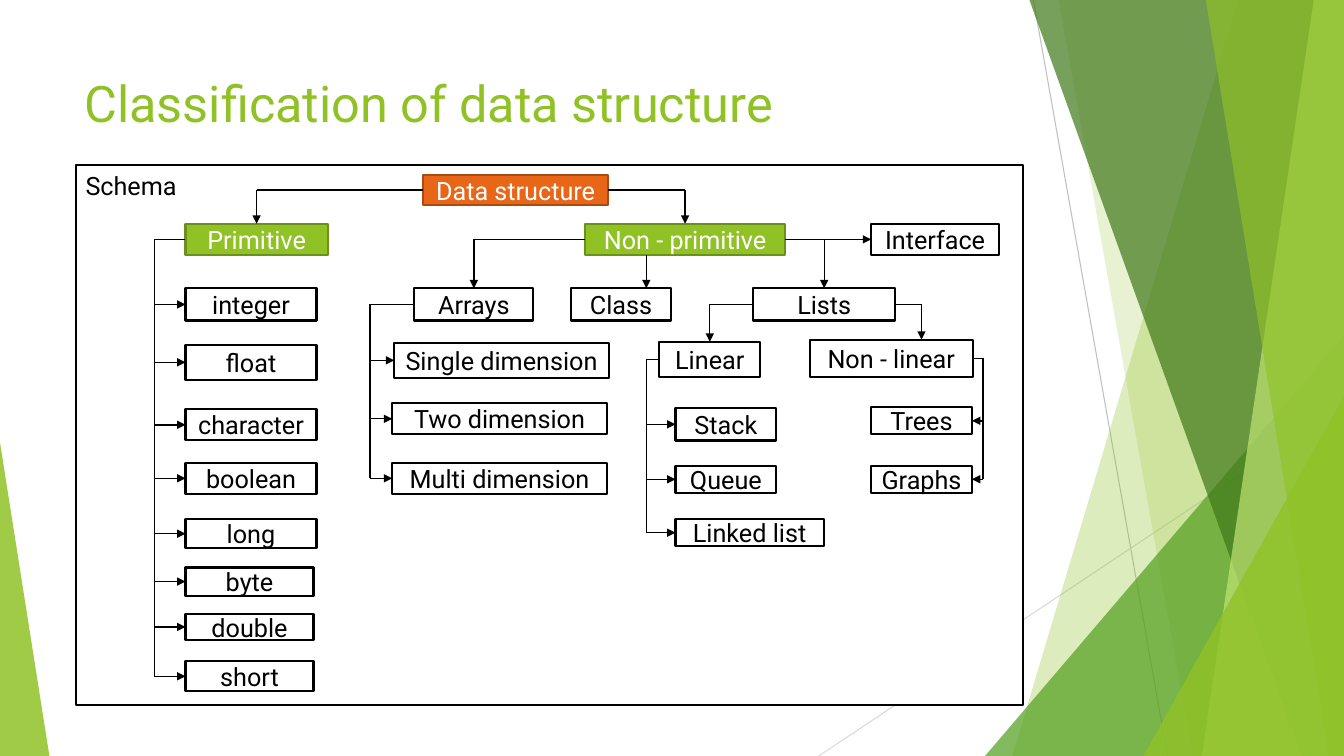
from dataclasses import dataclass

import pptx
import pptx.dml.color
import pptx.enum.shapes
import pptx.enum.text
import pptx.oxml
import pptx.oxml.ns
import pptx.util

Inches = pptx.util.Inches
Pt = pptx.util.Pt
MSO_SHAPE = pptx.enum.shapes.MSO_SHAPE
ANCHOR = pptx.enum.text.MSO_ANCHOR
ALIGN = pptx.enum.text.PP_ALIGN
NS = pptx.oxml.ns.nsdecls("a")


@dataclass(frozen=True)
class Theme:
    """Colours, font and sizes of the slide."""
    font: str = "Roboto"
    title: int = 36
    body: int = 18
    border: float = 1.5
    wire: float = 1
    hairline: float = 0.75
    ink: str = "000000"
    paper: str = "FFFFFF"
    green: str = "90C226"
    green_edge: str = "6B901C"
    orange: str = "E76618"
    orange_edge: str = "AB4B12"
    leaf: str = "54A021"
    forest: str = "3F7819"
    lime: str = "C0E474"
    gray: str = "BFBFBF"
    light_gray: str = "D9D9D9"


class Diagram:
    """Draws the elements of one slide in one theme."""

    def __init__(self, slide, theme):
        """Keep the slide and the theme."""
        self.shapes = slide.shapes
        self.theme = theme

    def paint(self, sp, fill, edge=None, alpha=None):
        """Set fill, outline and opacity in percent."""
        sp.shadow.inherit = False
        sp.fill.solid()
        sp.fill.fore_color.rgb = pptx.dml.color.RGBColor.from_string(fill)
        if alpha:
            color = sp._element.spPr.find(".//" + pptx.oxml.ns.qn("a:srgbClr"))
            color.append(pptx.oxml.parse_xml(f'<a:alpha {NS} val="{alpha * 1000}"/>'))
        if edge:
            sp.line.color.rgb = pptx.dml.color.RGBColor.from_string(edge)
            sp.line.width = Pt(self.theme.border)
        else:
            sp.line.fill.background()

    def label(self, sp, text, size, color, align, anchor):
        """Put one formatted paragraph into a shape."""
        tf = sp.text_frame
        tf.text = text
        tf.word_wrap = True
        tf.vertical_anchor = anchor
        p = tf.paragraphs[0]
        p.alignment = align
        font = p.runs[0].font
        font.name, font.size = self.theme.font, Pt(size)
        font.color.rgb = pptx.dml.color.RGBColor.from_string(color)

    def title(self, text, *box):
        """Add the slide title."""
        sp = self.shapes.add_textbox(*map(Inches, box))
        self.label(sp, text, self.theme.title, self.theme.green, ALIGN.LEFT, ANCHOR.TOP)

    def frame(self, text, *box):
        """Add the outlined area with its caption."""
        sp = self.shapes.add_shape(MSO_SHAPE.RECTANGLE, *map(Inches, box))
        self.paint(sp, self.theme.paper, self.theme.ink)
        self.label(sp, text, self.theme.body, self.theme.ink, ALIGN.LEFT, ANCHOR.TOP)

    def node(self, text, box, fill=None, edge=None):
        """Add a labelled box; filled boxes have white text."""
        t = self.theme
        sp = self.shapes.add_shape(MSO_SHAPE.RECTANGLE, *map(Inches, box))
        self.paint(sp, fill or t.paper, edge or t.ink)
        self.label(sp, text, t.body, t.paper if fill else t.ink, ALIGN.CENTER, ANCHOR.MIDDLE)
        sp.text_frame.margin_left = sp.text_frame.margin_right = 0
        return sp

    def triangle(self, box, peak, fill, alpha):
        """Add a translucent triangle with its peak at a share of the width."""
        sp = self.shapes.add_shape(MSO_SHAPE.ISOSCELES_TRIANGLE, *map(Inches, box))
        sp.adjustments[0] = peak
        self.paint(sp, fill, alpha=alpha)

    def band(self, top, bottom, fill, alpha):
        """Add a translucent band from a slanted left side to the right edge."""
        corners = [(Inches(x), Inches(y)) for x, y in
                   ((top, 0), (13.33, 0), (13.33, 7.5), (bottom, 7.5))]
        builder = self.shapes.build_freeform(*corners[0])
        builder.add_line_segments(corners[1:], close=True)
        self.paint(builder.convert_to_shape(), fill, alpha=alpha)

    def line(self, start, end, arrow=False, color=None, width=None):
        """Add a straight line, with an arrowhead at its end if wanted."""
        cx = self.shapes.add_connector(pptx.enum.shapes.MSO_CONNECTOR.STRAIGHT, *start, *end)
        cx.line.color.rgb = pptx.dml.color.RGBColor.from_string(color or self.theme.ink)
        cx.line.width = Pt(width or self.theme.wire)
        if arrow:
            ln = cx._element.spPr.find(pptx.oxml.ns.qn("a:ln"))
            ln.append(pptx.oxml.parse_xml(f'<a:tailEnd {NS} type="triangle"/>'))
        cx._element.spPr.append(pptx.oxml.parse_xml(f"<a:effectLst {NS}/>"))

    def elbow(self, parent, child, x=None):
        """Go sideways from the parent, then down to the child."""
        x = x or child.left + child.width // 2
        y = parent.top + parent.height // 2
        side = parent.left if x < parent.left else parent.left + parent.width
        self.line((side, y), (x, y))
        self.line((x, y), (x, child.top), arrow=True)

    def bus(self, parent, children, x):
        """Run a spine at x beside the parent, with an arrow to each child."""
        def port(sp):
            """Give the middle of the side that faces the spine."""
            side = sp.left if x < sp.left else sp.left + sp.width
            return side, sp.top + sp.height // 2

        ports = [port(child) for child in children]
        start = port(parent)
        self.line(start, (x, start[1]))
        self.line((x, start[1]), (x, ports[-1][1]))
        for end in ports:
            self.line((x, end[1]), end, arrow=True)


def draw_backdrop(d):
    """Draw the translucent green shards and two thin lines."""
    t = d.theme
    for x1, y1, x2, color in ((10.25, 0, 11.58, t.gray), (13.33, 4.03, 8.12, t.light_gray)):
        d.line((Inches(x1), Inches(y1)), (Inches(x2), Inches(7.5)),
               color=color, width=t.hairline)
    d.band(12.28, 10.04, t.green, 30)
    d.band(10.5, 11.83, t.green, 20)
    d.triangle((9.77, 3.33, 3.56, 4.17), 1, t.leaf, 72)
    d.band(10.21, 12.91, t.forest, 70)
    d.band(13.03, 11.92, t.lime, 70)
    d.band(11.96, 13.18, t.green, 65)
    d.triangle((11.34, 3.93, 1.99, 3.57), 1, t.green, 80)
    d.triangle((0, 4.39, 0.49, 3.11), 0, t.green, 85)


def draw_tree(d):
    """Draw the classification boxes and their links."""
    t = d.theme
    root = d.node("Data structure", (4.2, 1.74, 1.83, 0.29), t.orange, t.orange_edge)
    primitive = d.node("Primitive", (1.84, 2.22, 1.41, 0.31), t.green, t.green_edge)
    non_primitive = d.node("Non - primitive", (5.8, 2.22, 1.99, 0.31), t.green, t.green_edge)
    interface = d.node("Interface", (8.64, 2.22, 1.27, 0.31))
    arrays = d.node("Arrays", (4.11, 2.86, 1.18, 0.32))
    class_box = d.node("Class", (5.66, 2.86, 1, 0.32))
    lists = d.node("Lists", (7.47, 2.86, 1.41, 0.32))
    linear = d.node("Linear", (6.54, 3.39, 1, 0.35))
    non_linear = d.node("Non - linear", (8.03, 3.37, 1.62, 0.37))

    for parent, child in ((root, primitive), (root, non_primitive),
                          (non_primitive, arrays), (non_primitive, lists), (lists, linear)):
        d.elbow(parent, child)
    d.elbow(lists, non_linear, Inches(9.14))
    class_x = Inches(6.41)
    d.line((class_x, non_primitive.top + non_primitive.height),
           (class_x, class_box.top), arrow=True)
    middle = non_primitive.top + non_primitive.height // 2
    d.line((non_primitive.left + non_primitive.width, middle),
           (interface.left, middle), arrow=True)

    # parent, spine x, then children as text, left, top, width, height
    families = (
        (primitive, 1.53, (
            ("integer", 1.84, 2.86, 1.3, 0.32), ("float", 1.84, 3.42, 1.3, 0.35),
            ("character", 1.84, 4.06, 1.3, 0.31), ("boolean", 1.84, 4.59, 1.3, 0.31),
            ("long", 1.84, 5.15, 1.3, 0.29), ("byte", 1.84, 5.63, 1.27, 0.28),
            ("double", 1.84, 6.09, 1.27, 0.26), ("short", 1.84, 6.56, 1.27, 0.3))),
        (arrays, 3.67, (
            ("Single dimension", 3.91, 3.4, 2.13, 0.35),
            ("Two dimension", 3.89, 4, 2.13, 0.31),
            ("Multi dimension", 3.89, 4.59, 2.13, 0.31))),
        (linear, 6.41, (
            ("Stack", 6.7, 4.05, 1, 0.32), ("Queue", 6.7, 4.62, 1, 0.27),
            ("Linked list", 6.7, 5.15, 1.47, 0.27))),
        (non_linear, 9.75, (
            ("Trees", 8.64, 4.04, 1, 0.27), ("Graphs", 8.64, 4.62, 1, 0.27))),
    )
    for parent, x, children in families:
        d.bus(parent, [d.node(text, box) for text, *box in children], Inches(x))


prs = pptx.Presentation()
prs.slide_width, prs.slide_height = Inches(13.33), Inches(7.5)
diagram = Diagram(prs.slides.add_slide(prs.slide_layouts[6]), Theme())
draw_backdrop(diagram)
diagram.title("Classification of data structure", 0.74, 0.67, 9.4, 0.98)
diagram.frame("Schema", 0.75, 1.64, 9.4, 5.35)
draw_tree(diagram)
prs.save("out.pptx")
